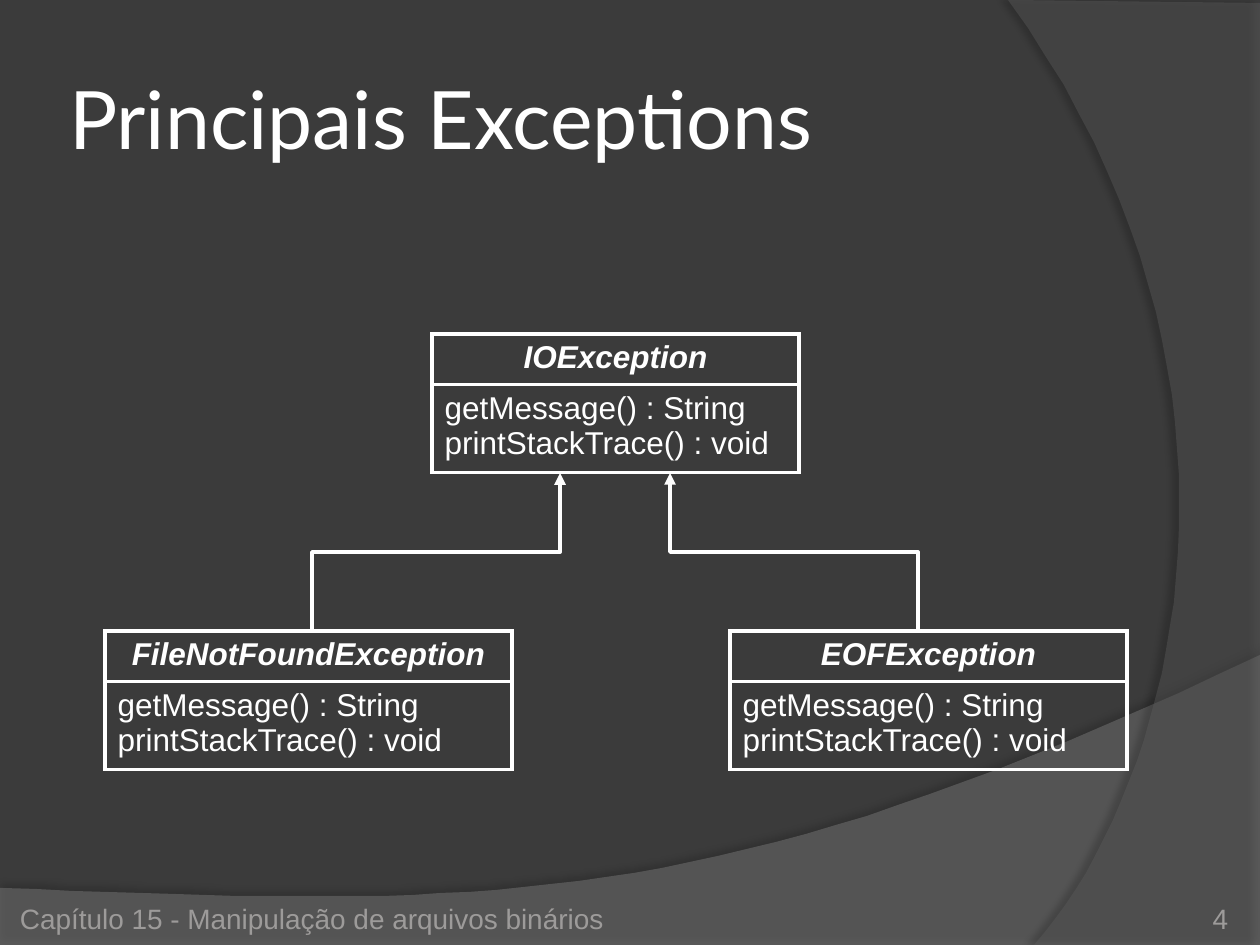
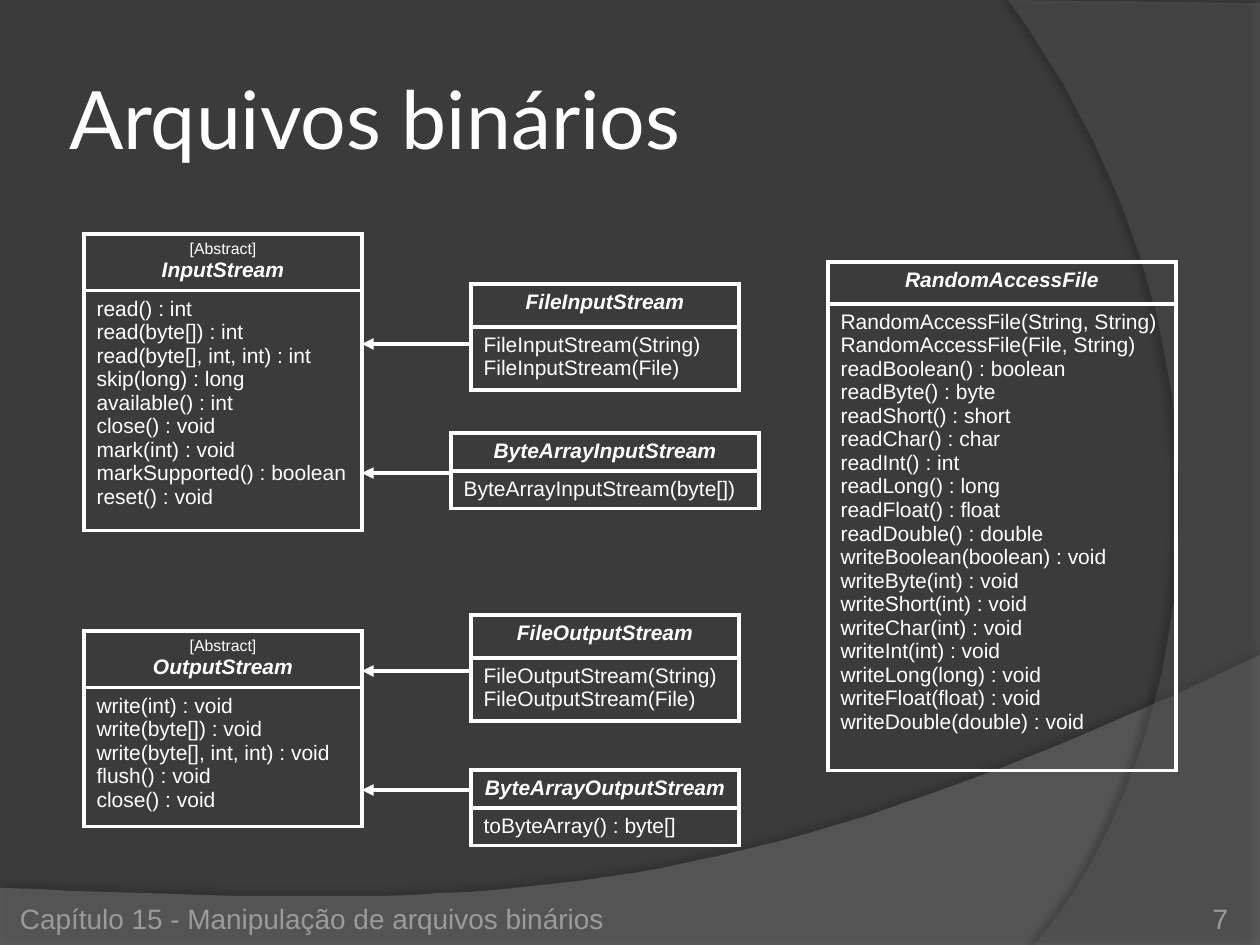
from lxml.etree import SubElement
from pptx import Presentation
from pptx.dml.color import RGBColor
from pptx.enum.shapes import MSO_CONNECTOR as Connector
from pptx.enum.text import MSO_ANCHOR as Anchor, MSO_AUTO_SIZE as AutoSize, PP_ALIGN as Align
from pptx.oxml.ns import qn
from pptx.util import Pt

EMU_PER_PX = 914400 / 126
SLIDE_W, SLIDE_H = 1260, 945
LINE_PT = 2.25
COLORS = {
    "background": "3B3B3B",
    "ink": "FFFFFF",
    "footer": "9D9B9A",
    "lower_wave": "7F7F7F",
    "right_wave": "5E5E5E",
    "shadow": "000000",
}
TITLE_FONT, TEXT_FONT = "Lato", "Arial"
FOOTER = "Capítulo 15 - Manipulação de arquivos binários"
EXCEPTION_METHODS = ["getMessage() : String", "printStackTrace() : void"]

# Each class: name, (left, top, width), (heading height, member height), members
EXCEPTIONS = [
    ("IOException", (432, 334, 367), (48, 83), EXCEPTION_METHODS),
    ("FileNotFoundException", (105, 631, 407), (48, 83), EXCEPTION_METHODS),
    ("EOFException", (730, 631, 397), (48, 83), EXCEPTION_METHODS),
]
ABSTRACT_STREAMS = [
    ("InputStream", (84, 234, 278), (54, 225), [
        "read() : int", "read(byte[]) : int", "read(byte[], int, int) : int",
        "skip(long) : long", "available() : int", "close() : void",
        "mark(int) : void", "markSupported() : boolean", "reset() : void"]),
    ("OutputStream", (84, 631, 278), (54, 131), [
        "write(int) : void", "write(byte[]) : void",
        "write(byte[], int, int) : void", "flush() : void", "close() : void"]),
]
PRIMITIVES = ["boolean", "byte", "short", "char", "int", "long", "float", "double"]
WRITE_ARGUMENTS = {"byte": "int", "short": "int", "char": "int"}
RANDOM_ACCESS_METHODS = (
    ["RandomAccessFile(String, String)", "RandomAccessFile(File, String)"]
    + [f"read{kind.capitalize()}() : {kind}" for kind in PRIMITIVES]
    + [f"write{kind.capitalize()}({WRITE_ARGUMENTS.get(kind, kind)}) : void"
       for kind in PRIMITIVES]
)
CONCRETE_CLASSES = [
    ("FileOutputStream", (471, 615, 268), (43, 60),
     ["FileOutputStream(String)", "FileOutputStream(File)"]),
    ("FileInputStream", (471, 284, 268), (43, 60),
     ["FileInputStream(String)", "FileInputStream(File)"]),
    ("ByteArrayInputStream", (451, 433, 308), (36, 36),
     ["ByteArrayInputStream(byte[])"]),
    ("ByteArrayOutputStream", (471, 770, 268), (36, 36),
     ["toByteArray() : byte[]"]),
    ("RandomAccessFile", (828, 262, 348), (42, 437), RANDOM_ACCESS_METHODS),
]


def px(length):
    return round(length * EMU_PER_PX)


def rgb(name):
    return RGBColor.from_string(COLORS[name])


def style(paragraph, size, font=TEXT_FONT, color="ink", strong=False, align=Align.LEFT):
    """Format every run; strong means bold italic."""
    paragraph.alignment = align
    for run in paragraph.runs:
        run.font.name = font
        run.font.size = Pt(size)
        run.font.color.rgb = rgb(color)
        run.font.bold = run.font.italic = strong


def add_color(parent, name, alpha=None):
    color = SubElement(parent, qn("a:srgbClr"), val=COLORS[name])
    if alpha is not None:
        SubElement(color, qn("a:alpha"), val=str(alpha * 1000))


def curve(start, control_1, control_2, end, steps=40):
    """Points along a cubic Bézier curve, without its start."""
    points = []
    for step in range(1, steps + 1):
        t = step / steps
        weights = ((1 - t) ** 3, 3 * t * (1 - t) ** 2, 3 * t * t * (1 - t), t ** 3)
        points.append(tuple(
            sum(w * c for w, c in zip(weights, axis))
            for axis in zip(start, control_1, control_2, end)))
    return points


def add_wave(slide, points, depth, color, opacity, shadow):
    """Translucent outline behind the content; shadow is (alpha, blur, distance, degrees)."""
    builder = slide.shapes.build_freeform(*points[0], scale=EMU_PER_PX)
    builder.add_line_segments(points[1:], close=True)
    wave = builder.convert_to_shape()
    wave.fill.solid()
    wave.fill.fore_color.rgb = rgb(color)
    wave.line.fill.background()
    wave.shadow.inherit = False
    properties = wave.element.spPr
    fill_color = properties.find(f"{qn('a:solidFill')}/{qn('a:srgbClr')}")
    SubElement(fill_color, qn("a:alpha"), val=str(opacity * 1000))
    alpha, blur, distance, degrees = shadow
    outer = SubElement(
        properties.find(qn("a:effectLst")), qn("a:outerShdw"),
        blurRad=str(Pt(blur)), dist=str(Pt(distance)),
        dir=str(degrees * 60000), algn="ctr", rotWithShape="0")
    add_color(outer, "shadow", alpha)
    slide.shapes.element.insert(2 + depth, wave.element)


def add_label(slide, text, left, width, align):
    label = slide.shapes.add_textbox(px(left), px(885), px(width), px(50))
    frame = label.text_frame
    frame.word_wrap = True
    frame.margin_left = frame.margin_right = frame.margin_top = frame.margin_bottom = 0
    frame.vertical_anchor = Anchor.BOTTOM
    frame.text = text
    style(frame.paragraphs[0], 16, color="footer", align=align)


def add_slide(prs, title, number):
    slide = prs.slides.add_slide(prs.slide_layouts[5])
    lower_curve = curve((1260, 655), (704, 919), (493, 906), (0, 888))
    add_wave(slide, [(0, 888), (0, 945), (1260, 945), (1260, 655)] + lower_curve,
             0, "lower_wave", 45, (35, 4, 3.5, 270))
    right_curve = curve((1034, 945), (1178, 780), (1283, 378), (1008, 0))
    add_wave(slide, [(1260, 3), (1260, 945), (1034, 945)] + right_curve,
             1, "right_wave", 40, (45, 4, 4, 180))

    heading = slide.shapes.title
    heading.left, heading.top, heading.width, heading.height = map(px, (63, 38, 1029, 158))
    frame = heading.text_frame
    frame.text = title
    frame.auto_size = AutoSize.NONE
    frame.vertical_anchor = Anchor.MIDDLE
    frame.margin_left = frame.margin_right = frame.margin_top = frame.margin_bottom = px(6)
    style(frame.paragraphs[0], 46, font=TITLE_FONT)

    add_label(slide, FOOTER, 20, 610, Align.LEFT)
    add_label(slide, str(number), 1124, 104, Align.RIGHT)
    return slide


def outline_cell(cell):
    cell.fill.background()
    properties = cell._tc.get_or_add_tcPr()
    for index, side in enumerate(("a:lnL", "a:lnR", "a:lnT", "a:lnB")):
        border = SubElement(properties, qn(side), w=str(Pt(LINE_PT)))
        add_color(SubElement(border, qn("a:solidFill")), "ink")
        properties.insert(index, border)


def add_class(slide, name, place, heights, members, size, abstract=False):
    """UML class: name above, members below."""
    left, top, width = place
    table = slide.shapes.add_table(
        2, 1, px(left), px(top), px(width), px(sum(heights))).table
    table.first_row = table.horz_banding = False
    for row, height in zip(table.rows, heights):
        row.height = px(height)
    name_cell, member_cell = table.cell(0, 0), table.cell(1, 0)
    name_cell.text_frame.text = f"[Abstract]\n{name}" if abstract else name
    member_cell.text_frame.text = "\n".join(members)
    for cell in (name_cell, member_cell):
        outline_cell(cell)
    *stereotype, class_name = name_cell.text_frame.paragraphs
    for paragraph in stereotype:
        style(paragraph, 9, align=Align.CENTER)
    style(class_name, size, strong=True, align=Align.CENTER)
    for paragraph in member_cell.text_frame.paragraphs:
        style(paragraph, size)


def add_arrow(slide, kind, start, tip):
    arrow = slide.shapes.add_connector(kind, *map(px, start + tip))
    arrow.line.color.rgb = rgb("ink")
    arrow.line.width = Pt(LINE_PT)
    SubElement(arrow.line._get_or_add_ln(), qn("a:tailEnd"), type="triangle")
    SubElement(arrow.element.spPr, qn("a:effectLst"))
    return arrow


def add_upward_elbow(slide, start, tip):
    """Elbow that leaves and arrives vertically: a horizontal one turned by 270°."""
    center_x, center_y = (start[0] + tip[0]) / 2, (start[1] + tip[1]) / 2
    reach, offset = (start[1] - tip[1]) / 2, start[0] - center_x
    elbow = add_arrow(slide, Connector.ELBOW,
                      (center_x - reach, center_y + offset),
                      (center_x + reach, center_y - offset))
    elbow.element.spPr.find(qn("a:xfrm")).set("rot", str(270 * 60000))


def main():
    prs = Presentation()
    prs.slide_width, prs.slide_height = px(SLIDE_W), px(SLIDE_H)
    background = prs.slide_master.background.fill
    background.solid()
    background.fore_color.rgb = rgb("background")

    exceptions = add_slide(prs, "Principais Exceptions", 4)
    for entry in EXCEPTIONS:
        add_class(exceptions, *entry, size=18)
    for child_x, parent_x in ((918, 670), (312, 560)):
        add_upward_elbow(exceptions, (child_x, 631), (parent_x, 473))

    streams = add_slide(prs, "Arquivos binários", 7)
    for entry in ABSTRACT_STREAMS:
        add_class(streams, *entry, size=12, abstract=True)
    for entry in CONCRETE_CLASSES:
        add_class(streams, *entry, size=12)
    for child_x, y in ((471, 344), (451, 473), (471, 671), (471, 790)):
        add_arrow(streams, Connector.STRAIGHT, (child_x, y), (362, y))

    prs.save("out.pptx")


if __name__ == "__main__":
    main()
